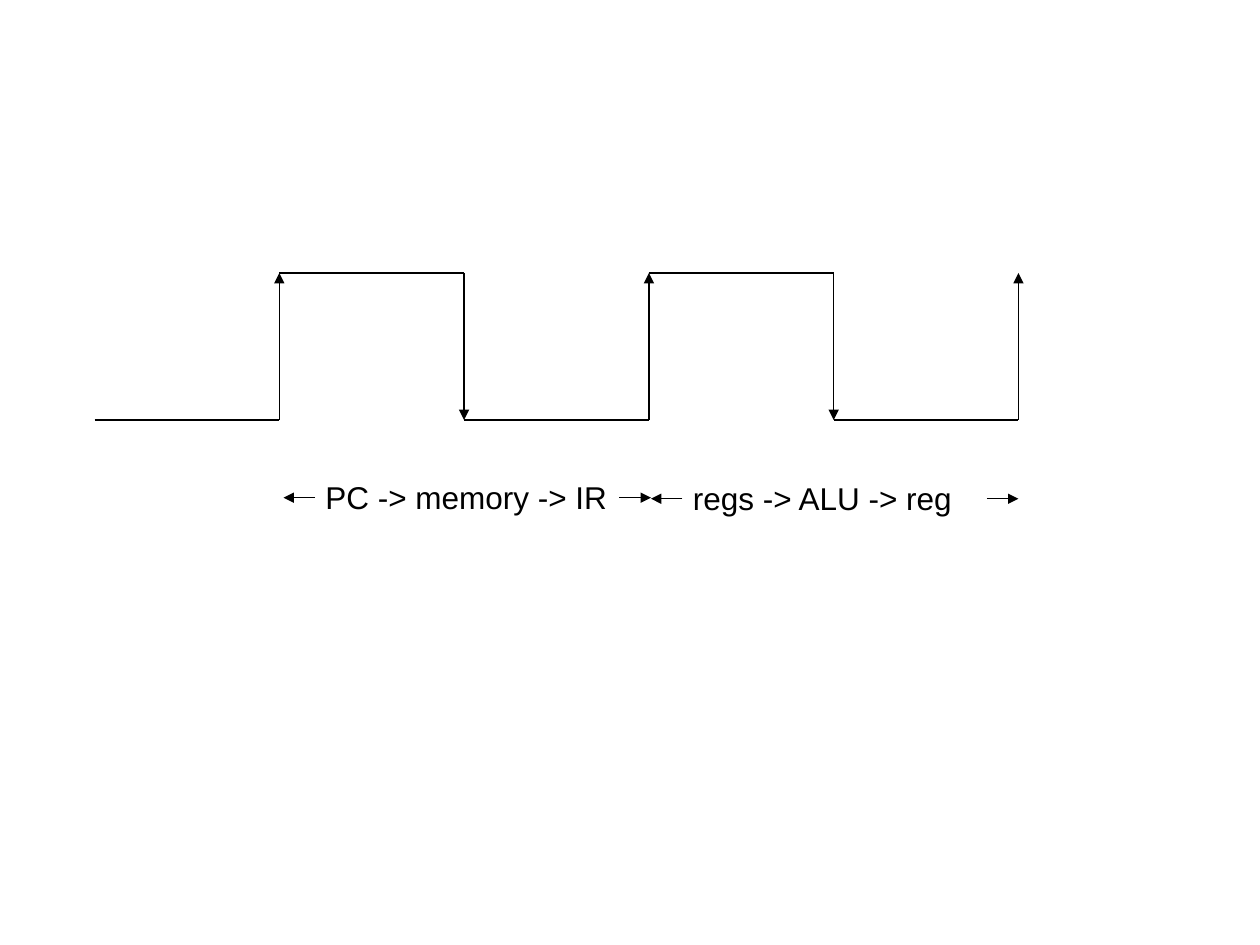
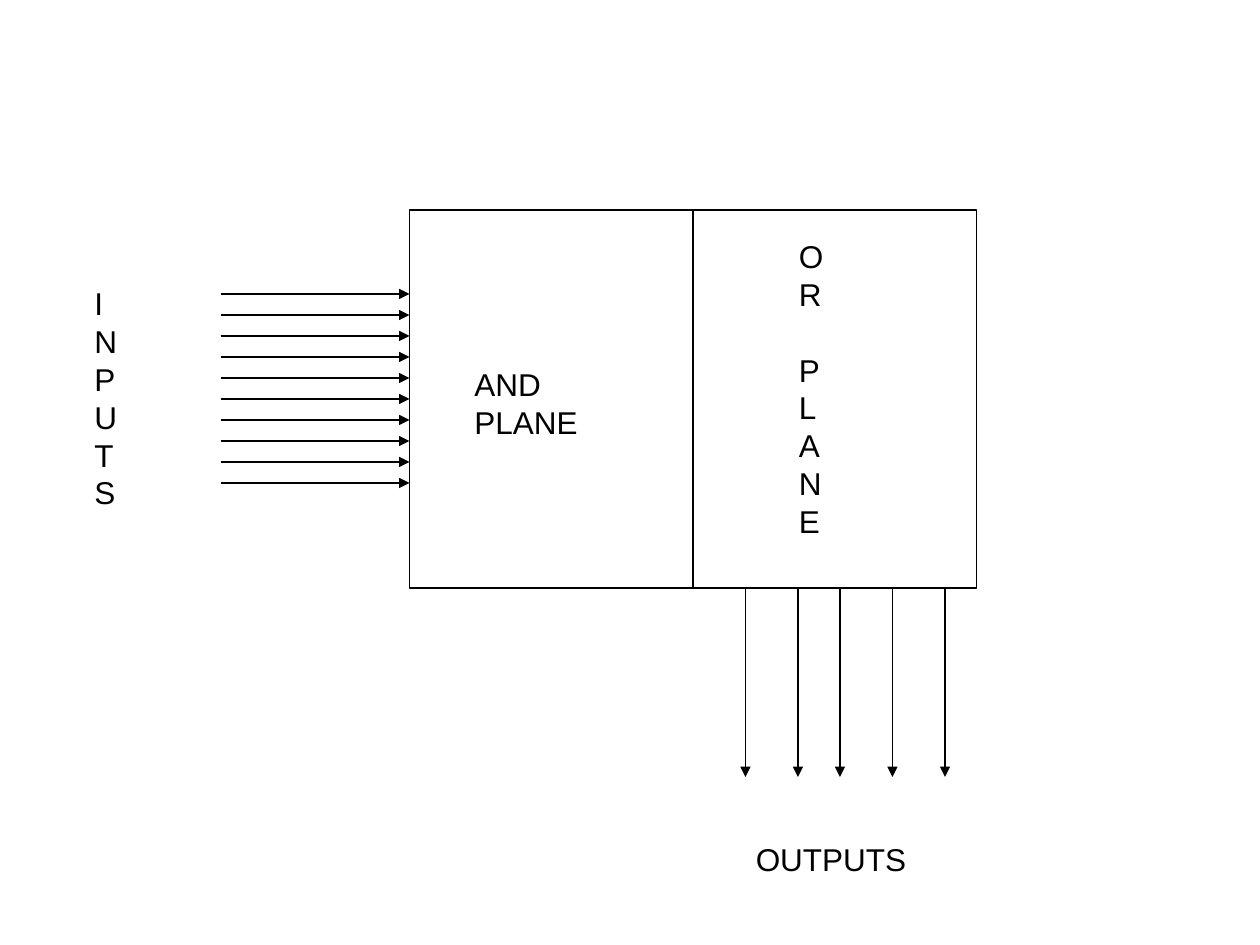
from itertools import pairwise

from lxml.etree import SubElement
from pptx import Presentation
from pptx.dml.color import RGBColor
from pptx.enum.shapes import MSO_CONNECTOR, MSO_SHAPE
from pptx.oxml.ns import qn
from pptx.util import Pt

EMU_PER_PX = 7620
SLIDE_SIZE = (1200, 900)
INK = "000000"
LINE_WIDTH = 0.75
LINE_PITCH = 21.6

CLOCK = {"left": 90, "half_period": 176, "high": 260, "low": 400, "half_periods": 5}
PHASES = [
    {"text": "PC -> memory -> IR", "box": (298, 449, 292, 48), "start": 270, "end": 620, "middle": 474},
    {"text": "regs -> ALU -> reg", "box": (648, 450, 272, 48), "start": 620, "end": 970, "middle": 475},
]
PHASE_ARROW = 30

ARRAY = {"left": 390, "top": 200, "width": 540, "height": 360}
ARRAY_LABELS = [
    ("AND PLANE", (440, 342, 193, 48)),
    ("OUTPUTS", (708, 794, 167, 48)),
]
STACKED_LABELS = [
    ("INPUTS", (78, 265, 46, 228)),
    ("OR PLANE", (749, 220, 47, 336)),
]
INPUT_COUNT, INPUT_TOP, INPUT_GAP = 10, 280, 20
ARROW_LENGTH = 180
OUTPUT_COLUMNS = [710, 760, 800, 850, 900]


def px(value):
    return round(value * EMU_PER_PX)


def color(hex_code):
    return RGBColor.from_string(hex_code)


def format_line(shape):
    shape.line.color.rgb = color(INK)
    shape.line.width = Pt(LINE_WIDTH)


def add_line(slide, start, end, arrow=False):
    connector = slide.shapes.add_connector(
        MSO_CONNECTOR.STRAIGHT, *(px(value) for value in (*start, *end))
    )
    format_line(connector)
    if arrow:
        SubElement(connector.line._get_or_add_ln(), qn("a:tailEnd"), type="triangle")
    SubElement(connector._element.spPr, qn("a:effectLst"))


def add_text(slide, text, box, size=18, font="Arial", ink=INK, stacked=False):
    frame = slide.shapes.add_textbox(*(px(value) for value in box)).text_frame
    frame.word_wrap = False
    words = text.split() if stacked else [[text]]
    lines = [
        (line, word_index > 0 and line_index == 0)
        for word_index, word in enumerate(words)
        for line_index, line in enumerate(word)
    ]
    for index, (line, starts_word) in enumerate(lines):
        paragraph = frame.add_paragraph() if index else frame.paragraphs[0]
        paragraph.line_spacing = Pt(LINE_PITCH)
        if starts_word:
            paragraph.space_before = Pt(LINE_PITCH)
        run = paragraph.add_run()
        run.text = line
        run.font.name = font
        run.font.size = Pt(size)
        run.font.color.rgb = color(ink)


def build_clock_slide(slide):
    corners = [(CLOCK["left"], CLOCK["low"])]
    level, other_level = CLOCK["low"], CLOCK["high"]
    for step in range(1, CLOCK["half_periods"] + 1):
        x = CLOCK["left"] + step * CLOCK["half_period"]
        corners += [(x, level), (x, other_level)]
        level, other_level = other_level, level
    for start, end in pairwise(corners):
        add_line(slide, start, end, arrow=start[0] == end[0])
    for phase in PHASES:
        start, end, middle = phase["start"], phase["end"], phase["middle"]
        add_text(slide, phase["text"], phase["box"])
        add_line(slide, (start + PHASE_ARROW, middle), (start, middle), arrow=True)
        add_line(slide, (end - PHASE_ARROW, middle), (end, middle), arrow=True)


def build_array_slide(slide):
    left, top, width, height = ARRAY.values()
    bottom, divider = top + height, left + width / 2
    outline = slide.shapes.add_shape(
        MSO_SHAPE.RECTANGLE, *(px(value) for value in ARRAY.values())
    )
    outline.shadow.inherit = False
    outline.fill.background()
    format_line(outline)
    add_line(slide, (divider, top), (divider, bottom))
    for index in range(INPUT_COUNT):
        y = INPUT_TOP + index * INPUT_GAP
        add_line(slide, (left - ARROW_LENGTH, y), (left, y), arrow=True)
    for x in OUTPUT_COLUMNS:
        add_line(slide, (x, bottom), (x, bottom + ARROW_LENGTH), arrow=True)
    for text, box in ARRAY_LABELS:
        add_text(slide, text, box)
    for text, box in STACKED_LABELS:
        add_text(slide, text, box, stacked=True)


def main():
    presentation = Presentation()
    presentation.slide_width, presentation.slide_height = (px(side) for side in SLIDE_SIZE)
    blank_layout = presentation.slide_layouts[6]
    for build in (build_clock_slide, build_array_slide):
        build(presentation.slides.add_slide(blank_layout))
    presentation.save("out.pptx")


if __name__ == "__main__":
    main()
